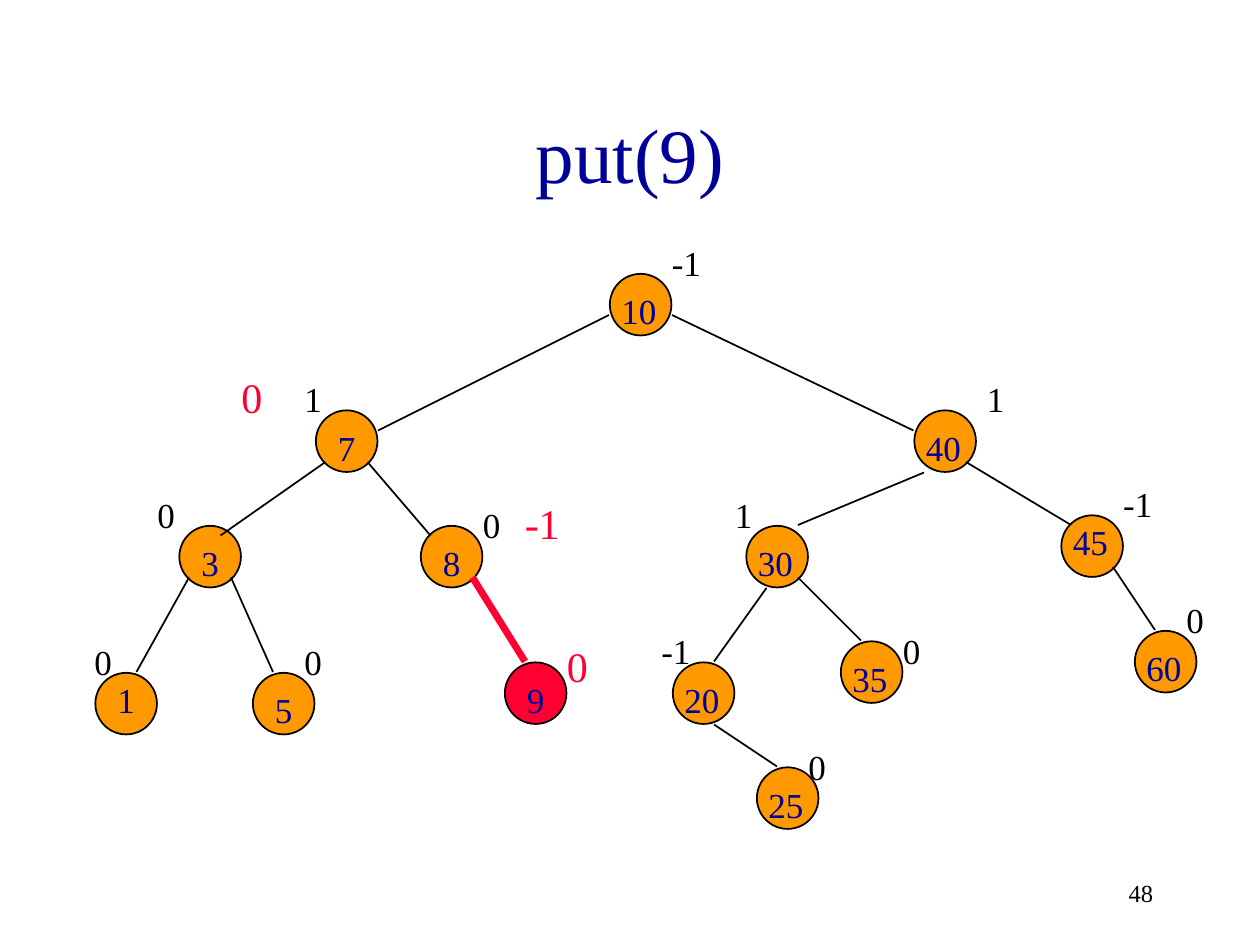
"""Builds a slide showing an AVL tree after put(9), with its balance factors."""
import collections
import dataclasses

import lxml.etree
import pptx
import pptx.dml.color
import pptx.enum.shapes
import pptx.enum.text
import pptx.oxml.ns
import pptx.util

Pt = pptx.util.Pt
Align = pptx.enum.text.PP_ALIGN
Anchor = pptx.enum.text.MSO_ANCHOR
Box = collections.namedtuple("Box", "left top width height")
Node = collections.namedtuple("Node", "key x y balance balance_x balance_y drop", defaults=(1,))
Edge = collections.namedtuple("Edge", "x1 y1 x2 y2")


@dataclasses.dataclass(frozen=True)
class Theme:
    """Colours, font and sizes of the slide."""
    ink: str = "000000"
    navy: str = "000099"
    orange: str = "FF9900"
    red: str = "FF0033"
    font: str = "Times New Roman"
    title: int = 44
    changed: int = 24
    label: int = 20
    page: int = 14
    thin: int = 1
    thick: int = 4


THEME = Theme()
GRID = 6
CIRCLE = 35.2

NODES = [
    Node("10", 58, 26, "-1", 63, 22),
    Node("7", 30, 39, "1", 28, 35),
    Node("40", 87, 39, "1", 93, 35),
    Node("3", 17, 50, "0", 14, 46),
    Node("8", 40, 50, "0", 45, 47),
    Node("30", 71, 50, "1", 69, 46),
    Node("45", 101, 49, "-1", 106, 45, 0),
    Node("1", 9, 64, "0", 8, 60, 0),
    Node("5", 24, 64, "0", 28, 60),
    Node("20", 64, 63, "-1", 62, 59),
    Node("35", 80, 61, "0", 85, 59),
    Node("60", 108, 60, "0", 112, 56),
    Node("25", 72, 73, "0", 76, 70),
]
ADDED_NODE = Node("9", 48, 63, "0", 53, 60)
CHANGED_BALANCES = [("-1", 49, 46.4), ("0", 22, 34.4)]
EDGES = [
    Edge(58, 30, 36, 41), Edge(64, 30, 87, 41),
    Edge(31, 44, 21, 51), Edge(35, 44, 41, 51),
    Edge(88, 45, 76, 50), Edge(92, 44, 102, 50),
    Edge(18, 55, 13, 64), Edge(22, 55, 26, 64),
    Edge(73, 56, 68, 63), Edge(76, 55, 82, 61),
    Edge(106, 54, 110, 60), Edge(68, 69, 74, 73),
]
ADDED_EDGE = Edge(45, 55, 50, 63)


def color(value):
    """Return the RGB colour of a hexadecimal string."""
    return pptx.dml.color.RGBColor.from_string(value)


def apply(target, values):
    """Set each attribute named in a dict of format values."""
    for name, value in values.items():
        setattr(target, name, value)


def add_text(slide, box, text, size, ink, align=Align.LEFT, anchor=Anchor.TOP, wrap=False):
    """Add one line of text in a box."""
    shape = slide.shapes.add_textbox(*map(Pt, box))
    frame = shape.text_frame
    apply(frame, {"word_wrap": wrap, "vertical_anchor": anchor})
    paragraph = frame.paragraphs[0]
    apply(paragraph, {"text": text, "alignment": align})
    apply(paragraph.runs[0].font, {"name": THEME.font, "size": Pt(size)})
    paragraph.runs[0].font.color.rgb = color(ink)


def add_circle(slide, box, node, fill):
    """Add the circle of a tree node."""
    left, top = box.left + node.x * GRID + 0.5, box.top + node.y * GRID + 0.5
    shape = slide.shapes.add_shape(
        pptx.enum.shapes.MSO_SHAPE.OVAL, Pt(left), Pt(top), Pt(CIRCLE), Pt(CIRCLE))
    shape.shadow.inherit = False
    shape.fill.solid()
    shape.fill.fore_color.rgb = color(fill)
    shape.line.color.rgb = color(THEME.ink)
    shape.line.width = Pt(THEME.thin)


def add_edge(slide, box, edge, ink, width):
    """Add the line between a parent and its child."""
    ends = [Pt(start + step * GRID) for start, step in zip((box.left, box.top) * 2, edge)]
    connector = slide.shapes.add_connector(pptx.enum.shapes.MSO_CONNECTOR.STRAIGHT, *ends)
    connector.line.color.rgb = color(ink)
    connector.line.width = Pt(width)
    properties = connector.element.find(pptx.oxml.ns.qn("p:spPr"))
    lxml.etree.SubElement(properties, pptx.oxml.ns.qn("a:effectLst"))


def add_key(slide, box, node):
    """Add the key of a node, with single digits indented by one step."""
    left = box.left + (node.x + (len(node.key) == 1)) * GRID
    top = box.top + (node.y + node.drop) * GRID
    add_text(slide, Box(left, top, 36, 31), node.key, THEME.label, THEME.navy, wrap=True)


def add_balance(slide, box, text, x, y, size, ink):
    """Add a balance factor beside its node."""
    left, top = box.left + x * GRID - 1.2, box.top + y * GRID + 2.4
    width = 14.4 + size * (0.5 if len(text) == 1 else 0.83)
    add_text(slide, Box(left, top, width, 7.2 + size * 1.2), text, size, ink)


def add_title(slide, box):
    """Add the title."""
    add_text(slide, box, "put(9)", THEME.title, THEME.navy, Align.CENTER, Anchor.MIDDLE, True)


def add_tree(slide, box):
    """Add the tree, with the inserted node and changed balances in red."""
    for node in NODES:
        add_circle(slide, box, node, THEME.orange)
    add_circle(slide, box, ADDED_NODE, THEME.red)
    for edge in EDGES:
        add_edge(slide, box, edge, THEME.ink, THEME.thin)
    add_edge(slide, box, ADDED_EDGE, THEME.red, THEME.thick)
    for node in NODES:
        add_key(slide, box, node)
        add_balance(slide, box, node.balance, node.balance_x, node.balance_y,
                    THEME.label, THEME.ink)
    add_key(slide, box, ADDED_NODE)
    added = (ADDED_NODE.balance, ADDED_NODE.balance_x, ADDED_NODE.balance_y)
    for balance in [added, *CHANGED_BALANCES]:
        add_balance(slide, box, *balance, THEME.changed, THEME.red)


def add_page_number(slide, box):
    """Add the page number."""
    add_text(slide, box, "48", THEME.page, THEME.ink, Align.RIGHT, Anchor.MIDDLE, True)


def main():
    """Build and save the presentation."""
    presentation = pptx.Presentation()
    apply(presentation, {"slide_width": Pt(720), "slide_height": Pt(540)})
    slide = presentation.slides.add_slide(presentation.slide_layouts[6])
    add_title(slide, Box(54, 42, 612, 90))
    add_tree(slide, Box(0, 0, 720, 540))
    add_page_number(slide, Box(516, 492, 150, 36))
    presentation.save("out.pptx")


if __name__ == "__main__":
    main()
